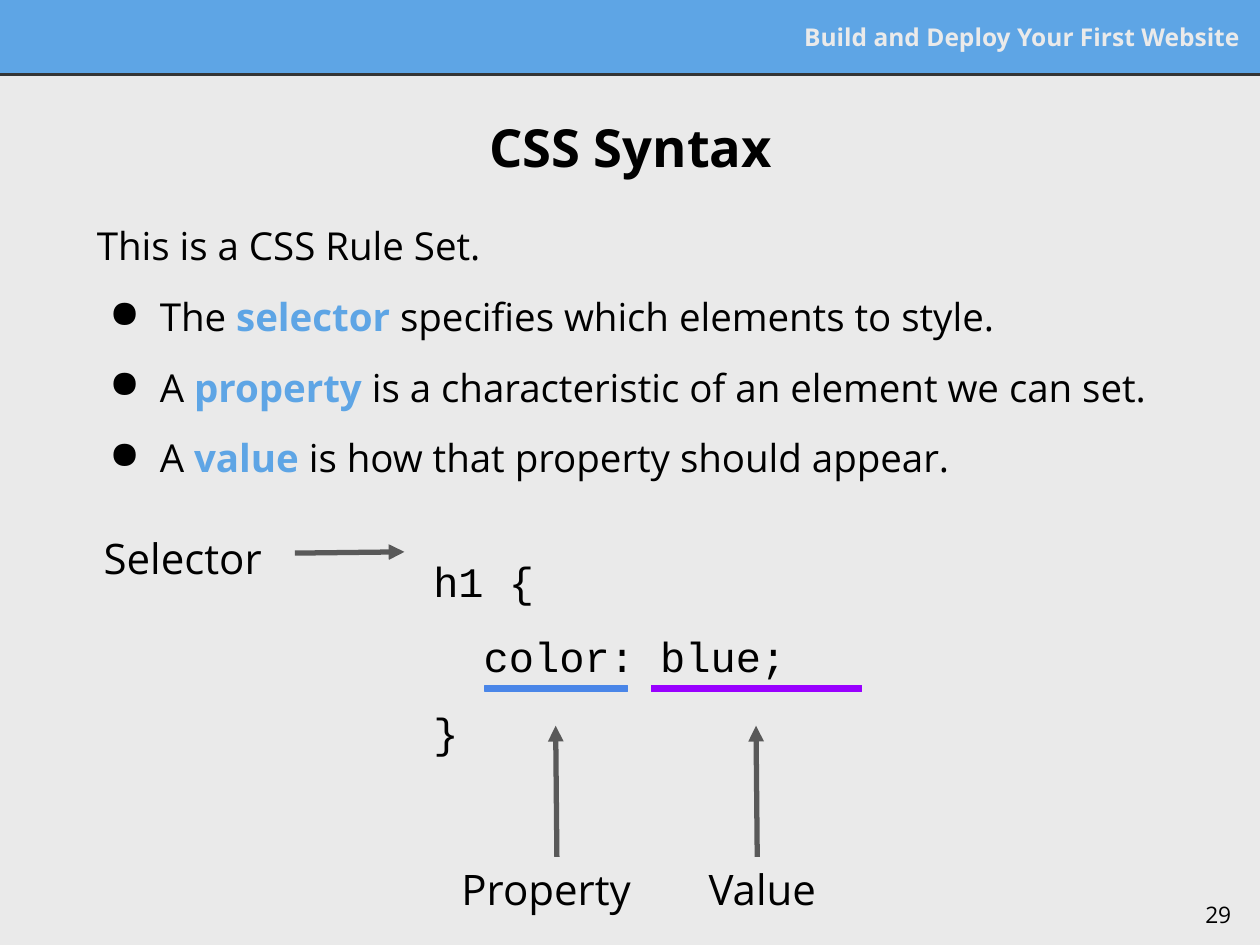
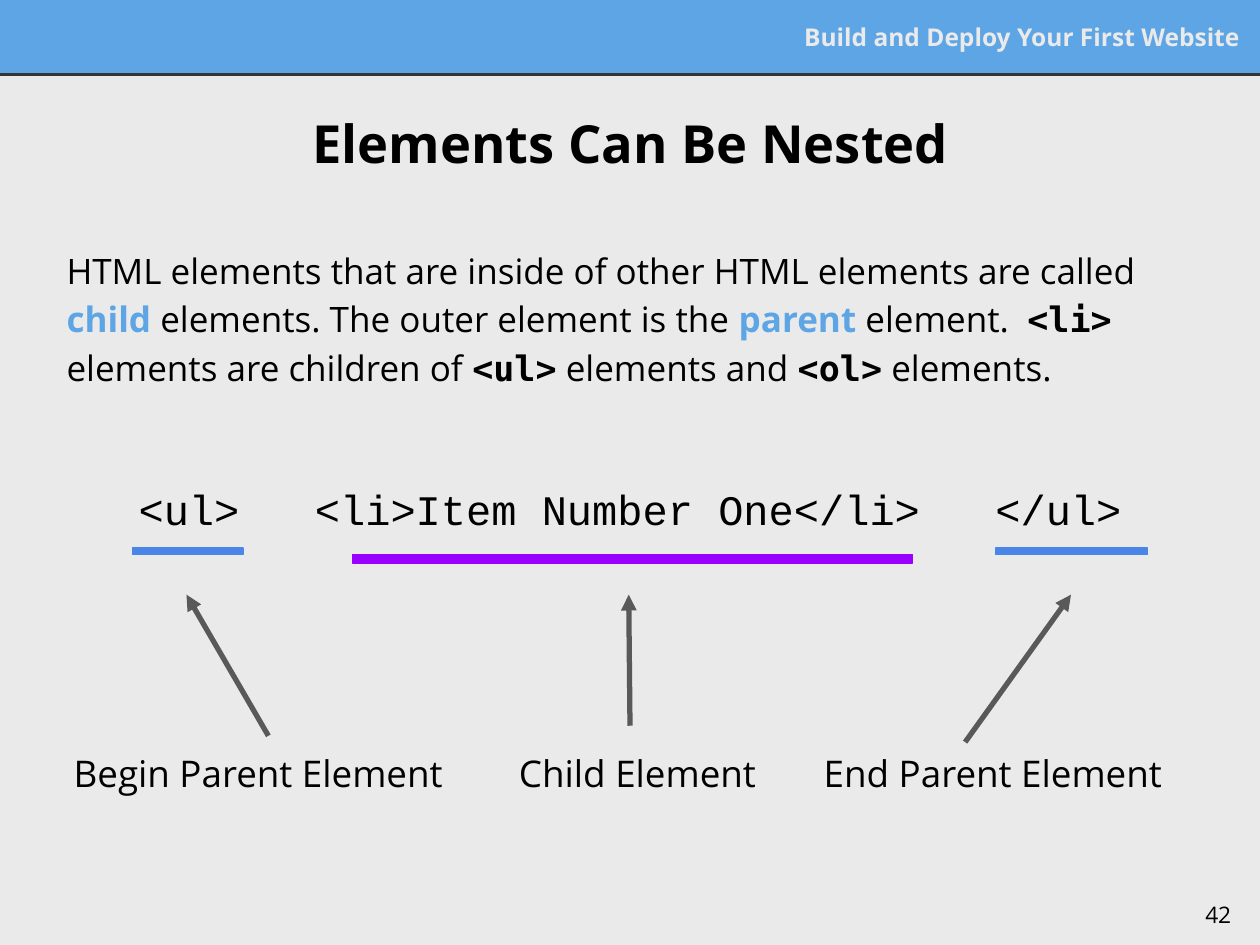
from lxml import etree
from pptx import Presentation
from pptx.dml.color import RGBColor
from pptx.enum.shapes import MSO_CONNECTOR, MSO_SHAPE
from pptx.enum.text import MSO_ANCHOR, PP_ALIGN
from pptx.oxml.ns import qn
from pptx.util import Inches, Pt

LEFT, MID, RIGHT = PP_ALIGN.LEFT, PP_ALIGN.CENTER, PP_ALIGN.RIGHT
TOP, CENTRE = MSO_ANCHOR.TOP, MSO_ANCHOR.MIDDLE
RECT, STRAIGHT = MSO_SHAPE.RECTANGLE, MSO_CONNECTOR.STRAIGHT
SANS, CODE, MONO = "Open Sans", "Courier New", "DejaVu Sans Mono"
COLORS = {
    "page": "EAEAEA", "band": "5EA5E5", "rule": "353535", "text": "000000",
    "arrow": "595959", "blue": "4A86E8", "purple": "9900FF",
}
RGB = {name: RGBColor.from_string(code) for name, code in COLORS.items()}


def add_text(slide, at, lines, size, align=MID, anchor=CENTRE, font=SANS,
             color="text", bold=False, spacing=1.15):
    """Add a text box; parts between bars are key words or, with <, tags."""
    frame = slide.shapes.add_textbox(*map(Inches, at)).text_frame
    frame.word_wrap = True
    frame.vertical_anchor = anchor
    frame.margin_left = frame.margin_right = Inches(0.1)
    frame.margin_top = frame.margin_bottom = Inches(0.1)
    for i, line in enumerate(lines):
        para = frame.add_paragraph() if i else frame.paragraphs[0]
        para.alignment = align
        para.line_spacing = spacing
        for j, part in enumerate(line.split("|")):
            run = para.add_run()
            run.text = part
            marked = j % 2 == 1
            tag = marked and part.startswith("<")
            run.font.name = MONO if tag else font
            run.font.size = Pt(size)
            run.font.bold = bold or marked
            run.font.color.rgb = RGB["band" if marked and not tag else color]
    return frame


def add_line(slide, ends, color, width, arrow=False):
    line = slide.shapes.add_connector(STRAIGHT, *map(Inches, ends))
    line.line.color.rgb = RGB[color]
    line.line.width = Pt(width)
    if arrow:
        etree.SubElement(line.line._get_or_add_ln(), qn("a:tailEnd"), type="triangle")
    etree.SubElement(line._element.spPr, qn("a:effectLst"))


prs = Presentation()
prs.slide_width, prs.slide_height = Inches(10), Inches(7.5)
fill = prs.slide_master.background.fill
fill.solid()
fill.fore_color.rgb = RGB["page"]

# Title, title box, page number, bars (with colour), arrows
pages = [
    ("CSS Syntax", (0.18, 0.71, 9.65, 0.9), "29",
     [("purple", 5.17, 5.44, 1.67, 0.05), ("blue", 3.85, 5.44, 1.13, 0.05)],
     [(4.42, 6.8, 4.41, 5.76), (6.01, 6.8, 6, 5.76), (2.34, 4.39, 3.21, 4.38)]),
    ("Elements Can Be Nested", (0.99, 0.71, 8.03, 0.84), "42",
     [("blue", 1.05, 4.35, 0.88, 0.05), ("purple", 2.8, 4.4, 4.44, 0.07),
      ("blue", 7.9, 4.35, 1.21, 0.05)],
     [(2.13, 5.84, 1.48, 4.72), (5, 5.76, 4.99, 4.72), (7.66, 5.89, 8.5, 4.72)]),
]
slides = []
for title, box, number, bars, arrows in pages:
    slide = prs.slides.add_slide(prs.slide_layouts[6])
    slides.append(slide)
    for color, *at in [("band", 0, 0, 10, 0.59)] + bars:
        bar = slide.shapes.add_shape(RECT, *map(Inches, at))
        bar.shadow.inherit = False
        bar.fill.solid()
        bar.fill.fore_color.rgb = bar.line.color.rgb = RGB[color]
        bar.line.width = Pt(0.75)
    add_line(slide, (0, 0.59, 10, 0.59), "rule", 1.5)
    add_text(slide, (5.48, 0.1, 4.46, 0.38), ["Build and Deploy Your First Website"],
             14, RIGHT, color="page", bold=True, spacing=1)
    add_text(slide, box, [title], 30, bold=True, spacing=1)
    add_text(slide, (9.27, 7.05, 0.6, 0.57), [number], 13, RIGHT, TOP, spacing=1)
    for ends in arrows:
        add_line(slide, ends, "arrow", 3, arrow=True)

# CSS Syntax
syntax, nested = slides
body = add_text(syntax, (0.67, 1.61, 8.65, 2.22), [
    "This is a CSS Rule Set.",
    "The |selector| specifies which elements to style.",
    "A |property| is a characteristic of an element we can set.",
    "A |value| is how that property should appear.",
], 22, LEFT, TOP)
for para in body.paragraphs[1:]:
    para.space_before = Pt(10)
    props = para._p.get_or_add_pPr()
    props.set("marL", str(Inches(0.5)))
    props.set("indent", str(Inches(-0.4)))
    tint = etree.SubElement(props, qn("a:buClr"))
    etree.SubElement(tint, qn("a:srgbClr"), val=COLORS["text"])
    etree.SubElement(props, qn("a:buChar"), char="●")

add_text(syntax, (3.34, 3.75, 4.09, 2.71), ["h1 {", "  color: blue;", "}"],
         24, LEFT, font=CODE, spacing=1.5)
for label, *at in [("Selector", 0.57, 4.08, 1.76, 0.63),
                   ("Property", 3.5, 6.54, 1.67, 0.96),
                   ("Value", 5.17, 6.54, 1.76, 0.96)]:
    add_text(syntax, at, [label], 24)

# Elements Can Be Nested
add_text(nested, (0.43, 1.83, 9.14, 1.54), [
    "HTML elements that are inside of other HTML elements are called |child| "
    "elements. The outer element is the |parent| element.  |<li>| elements are "
    "children of |<ul>| elements and |<ol>| elements."], 20, LEFT, TOP)

# Each part: code, its centre, its width, label, its centre, its width
parts = [
    ("<ul>", 1.5, 1.2, "Begin Parent Element", 2.05, 3.3),
    ("<li>Item Number One</li>", 4.9, 5.2, "Child Element", 5.06, 2.3),
    ("</ul>", 8.4, 1.4, "End Parent Element", 7.88, 3.1),
]
for code, mid, wide, label, spot, span in parts:
    add_text(nested, (mid - wide / 2, 3.53, wide, 0.96), [code], 24, font=CODE)
    add_text(nested, (spot - span / 2, 5.63, span, 0.96), [label], 21)

prs.save("out.pptx")
